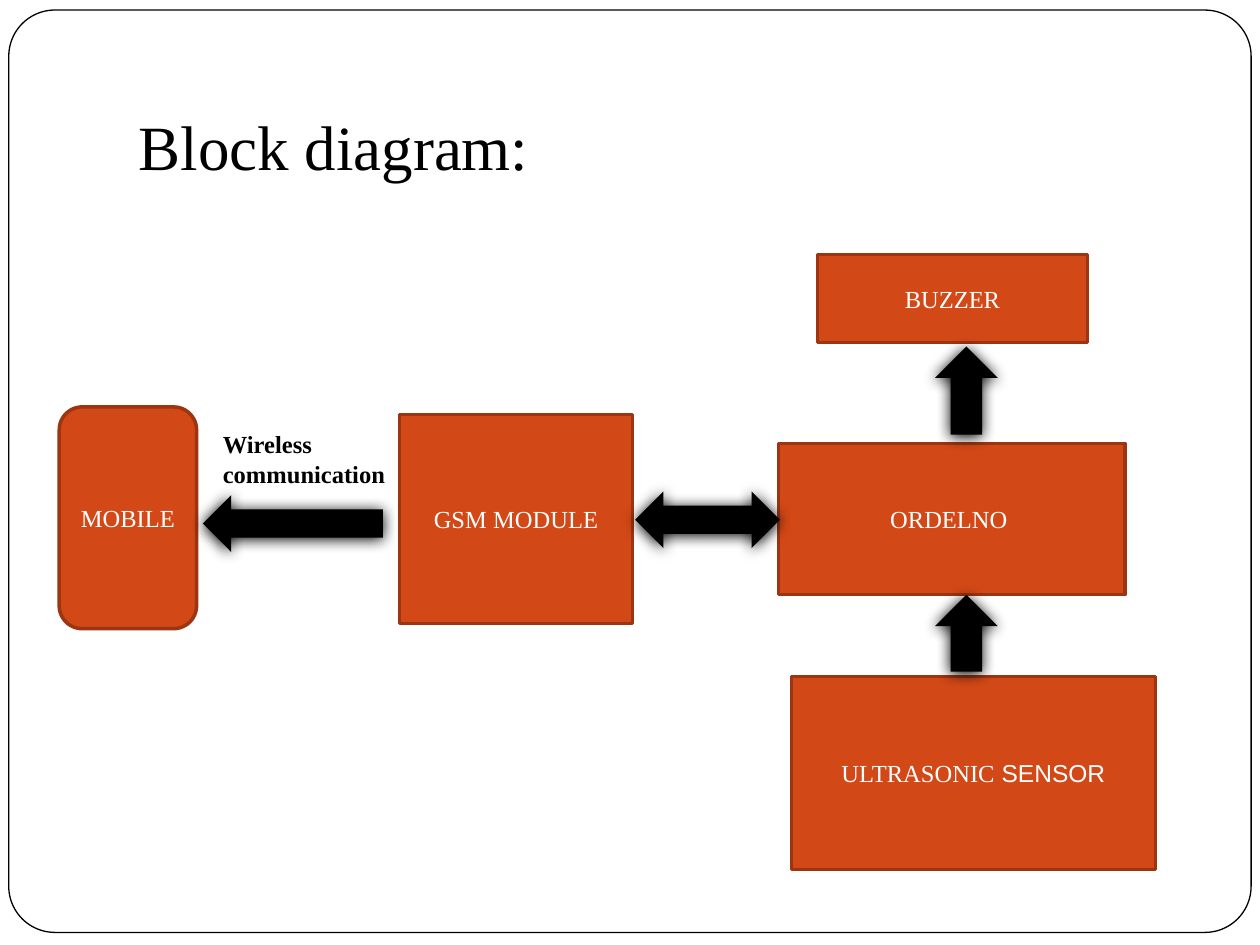
from dataclasses import dataclass

from lxml import etree
from pptx import Presentation
from pptx import util as u
from pptx.dml.color import RGBColor
from pptx.enum import shapes, text
from pptx.oxml.ns import qn

COLUMNS, ROWS = 100, 75
KIND = shapes.MSO_SHAPE


@dataclass(frozen=True)
class Theme:
    paper: str = "FFFFFF"
    ink: str = "000000"
    block: str = "D34817"
    edge: str = "9C3511"
    serif: str = "Times New Roman"
    sans: str = "Arial"
    title_size: int = 36
    body_size: int = 14
    frame_line: float = 0.75
    block_line: float = 2


THEME = Theme()


class Canvas:
    def __init__(self, deck, page):
        self.page = page
        self.column = deck.slide_width / COLUMNS
        self.row = deck.slide_height / ROWS

    def place(self, box, part):
        left, top = box[0] + part[0], box[1] + part[1]
        return [
            round(value * unit)
            for value, unit in zip(
                (left, top, part[2], part[3]),
                (self.column, self.row, self.column, self.row),
            )
        ]


def add_span(para, words, size, color, font=THEME.serif, bold=False):
    span = para.add_run()
    span.text = words
    span.font.name = font
    span.font.size = u.Pt(size)
    span.font.bold = bold
    span.font.color.rgb = RGBColor.from_string(color)


def add_outline(canvas, kind, place, fill, line=None, width=0):
    shape = canvas.page.shapes.add_shape(kind, *place)
    shape.shadow.inherit = False
    shape.fill.solid()
    shape.fill.fore_color.rgb = RGBColor.from_string(fill)
    if line:
        shape.line.color.rgb = RGBColor.from_string(line)
        shape.line.width = u.Pt(width)
    else:
        shape.line.fill.background()
    return shape


def add_block(canvas, box, part, *spans, kind=KIND.RECTANGLE):
    block = add_outline(
        canvas, kind, canvas.place(box, part), THEME.block, THEME.edge, THEME.block_line
    )
    frame = block.text_frame
    frame.word_wrap = True
    frame.vertical_anchor = text.MSO_ANCHOR.MIDDLE
    para = frame.paragraphs[0]
    para.alignment = text.PP_ALIGN.CENTER
    for words, font in spans:
        add_span(para, words, THEME.body_size, THEME.paper, font)


def add_arrow(canvas, box, part, kind):
    arrow = add_outline(canvas, kind, canvas.place(box, part), THEME.ink)
    effects = arrow._element.spPr.find(qn("a:effectLst"))
    shadow = etree.SubElement(
        effects,
        qn("a:outerShdw"),
        blurRad=str(u.Pt(8.5)),
        dist=str(u.Pt(1)),
        dir="5400000",
        algn="ctr",
        rotWithShape="0",
    )
    etree.SubElement(shadow, qn("a:srgbClr"), val=THEME.ink)


def heading(canvas, box):
    frame = add_outline(
        canvas, KIND.ROUNDED_RECTANGLE, canvas.place(box, (0, 0, 98.6, 73.2)),
        THEME.paper, THEME.ink, THEME.frame_line,
    )
    frame.adjustments[0] = 0.05
    title = canvas.page.shapes.title
    title._element.addprevious(frame._element)
    title.left, title.top, title.width, title.height = canvas.place(
        box, (9.3, 2.2, 85, 12.5)
    )
    body = title.text_frame
    body.word_wrap = True
    body.auto_size = text.MSO_AUTO_SIZE.NONE
    body.vertical_anchor = text.MSO_ANCHOR.BOTTOM
    body.margin_bottom = u.Inches(0.1)
    para = body.paragraphs[0]
    para.alignment = text.PP_ALIGN.LEFT
    add_span(para, "Block diagram:", THEME.title_size, THEME.ink)


def control_column(canvas, box):
    add_block(canvas, box, (0, 15, 27.5, 12), ("ORDELNO ", THEME.serif))
    add_block(
        canvas, box, (1, 33.5, 28.9, 15.3),
        ("ULTRASONIC", THEME.serif), (" SENSOR", THEME.sans),
    )
    add_block(canvas, box, (3.1, 0, 21.4, 7), ("BUZZER", THEME.serif))
    for top, height in ((27, 6.1), (7.3, 7)):
        add_arrow(canvas, box, (12.4, top, 5, height), KIND.UP_ARROW)


def wireless_link(canvas, box):
    add_block(canvas, box, (27, 0.6, 18.5, 16.6), ("GSM MODULE", THEME.serif))
    add_block(
        canvas, box, (0, 0, 10.9, 17.6), ("MOBILE", THEME.serif),
        kind=KIND.ROUNDED_RECTANGLE,
    )
    add_arrow(canvas, box, (45.7, 6.7, 11.5, 4.5), KIND.LEFT_RIGHT_ARROW)
    add_arrow(canvas, box, (11.4, 7, 14.3, 4.5), KIND.LEFT_ARROW)
    label = canvas.page.shapes.add_textbox(*canvas.place(box, (12, 1.3, 16.5, 5.7)))
    frame = label.text_frame
    frame.word_wrap = True
    frame.auto_size = text.MSO_AUTO_SIZE.SHAPE_TO_FIT_TEXT
    add_span(
        frame.paragraphs[0], "Wireless communication",
        THEME.body_size, THEME.ink, bold=True,
    )


def main():
    deck = Presentation()
    deck.slide_width, deck.slide_height = u.Inches(10), u.Inches(7.5)
    page = deck.slides.add_slide(deck.slide_layouts.get_by_name("Title Only"))
    canvas = Canvas(deck, page)
    heading(canvas, (0.7, 0.8))
    control_column(canvas, (61.8, 20.2))
    wireless_link(canvas, (4.7, 32.3))
    deck.save("out.pptx")


if __name__ == "__main__":
    main()
